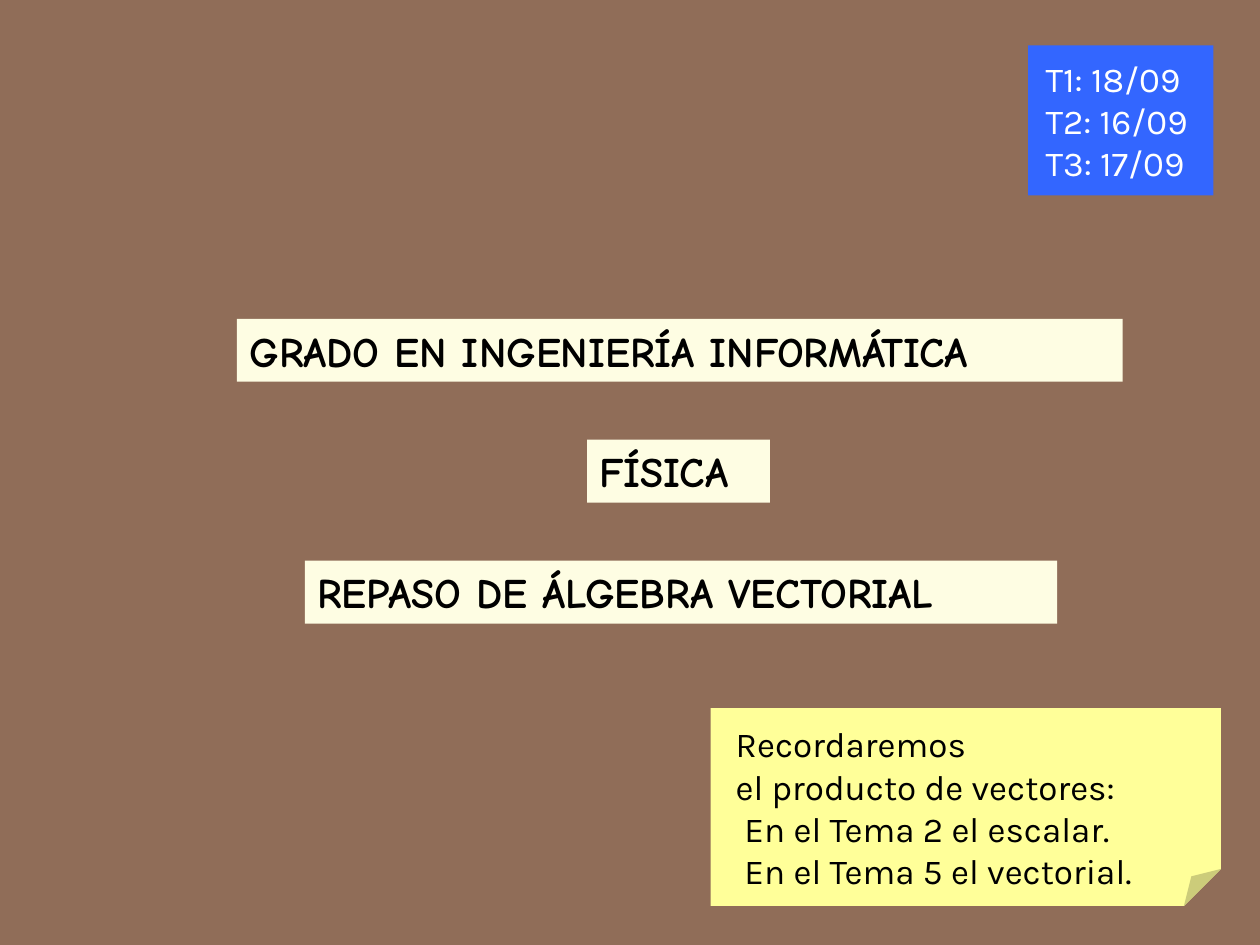
from pptx import Presentation
from pptx.dml.color import RGBColor
from pptx.enum import shapes, text
from pptx.util import Inches, Pt


def paint(fill, color):
    fill.solid()
    fill.fore_color.rgb = RGBColor.from_string(color)


def write(box, lines, font, size, color="000000", bold=False,
          anchor=text.MSO_ANCHOR.MIDDLE, inset=0.09, indents=None):
    """Fill a box with left-aligned lines; indents holds one left margin per line."""
    frame = box.text_frame
    frame.auto_size = text.MSO_AUTO_SIZE.NONE
    frame.word_wrap = True
    frame.vertical_anchor = anchor
    frame.margin_left = frame.margin_right = Inches(0.1)
    frame.margin_top = frame.margin_bottom = Inches(inset)
    frame.text = "\n".join(lines)
    for para, indent in zip(frame.paragraphs, indents or [0] * len(lines)):
        para.alignment = text.PP_ALIGN.LEFT
        if indent:
            properties = para._p.get_or_add_pPr()
            properties.set("marL", str(Inches(indent)))
            properties.set("indent", "0")
        for span in para.runs:
            span.font.name = font
            span.font.size = Pt(size)
            span.font.bold = bold
            paint(span.font.fill, color)


deck = Presentation()
deck.slide_width, deck.slide_height = Inches(10), Inches(7.5)
page = deck.slides.add_slide(deck.slide_layouts[5])
paint(page.background.fill, "906D58")

# Heading bands: degree (the slide title), subject and topic
bands = [
    ("GRADO EN INGENIERÍA INFORMÁTICA", 1.88, 2.53, 7.03),
    ("FÍSICA", 4.66, 3.49, 1.45),
    ("REPASO DE ÁLGEBRA VECTORIAL", 2.42, 4.45, 5.97),
]
for number, (label, left, top, width) in enumerate(bands):
    place = [Inches(value) for value in (left, top, width, 0.5)]
    if number == 0:
        band = page.shapes.title
        band.left, band.top, band.width, band.height = place
    else:
        band = page.shapes.add_textbox(*place)
    paint(band.fill, "FEFDE3")
    write(band, [label], "Comic Neue", 24, bold=True,
          anchor=text.MSO_ANCHOR.TOP, inset=0.05)

# Sticky note with its reminder
note = page.shapes.add_group_shape()
paper = note.shapes.add_shape(shapes.MSO_SHAPE.FOLDED_CORNER, Inches(5.64),
                              Inches(5.62), Inches(4.05), Inches(1.57))
paper._element.spPr.prstGeom.rewrite_guides([("adj", 18700)])
paper.shadow.inherit = False
paint(paper.fill, "FFFF99")
paper.line.fill.background()
reminder = note.shapes.add_textbox(Inches(5.74), Inches(5.64), Inches(3.8), Inches(1.53))
write(reminder, ["Recordaremos", "el producto de vectores:",
                 "En el Tema 2 el escalar.", "En el Tema 5 el vectorial."],
      "Karla", 20, indents=[0, 0, 0.07, 0.07])

# Group dates
dates = page.shapes.add_shape(shapes.MSO_SHAPE.RECTANGLE, Inches(8.16),
                              Inches(0.36), Inches(1.47), Inches(1.19))
dates.shadow.inherit = False
paint(dates.fill, "3366FF")
dates.line.fill.background()
write(dates, ["T1: 18/09", "T2: 16/09", "T3: 17/09"], "Karla", 20,
      color="FFFFFF", indents=[0.04] * 3)

deck.save("out.pptx")
